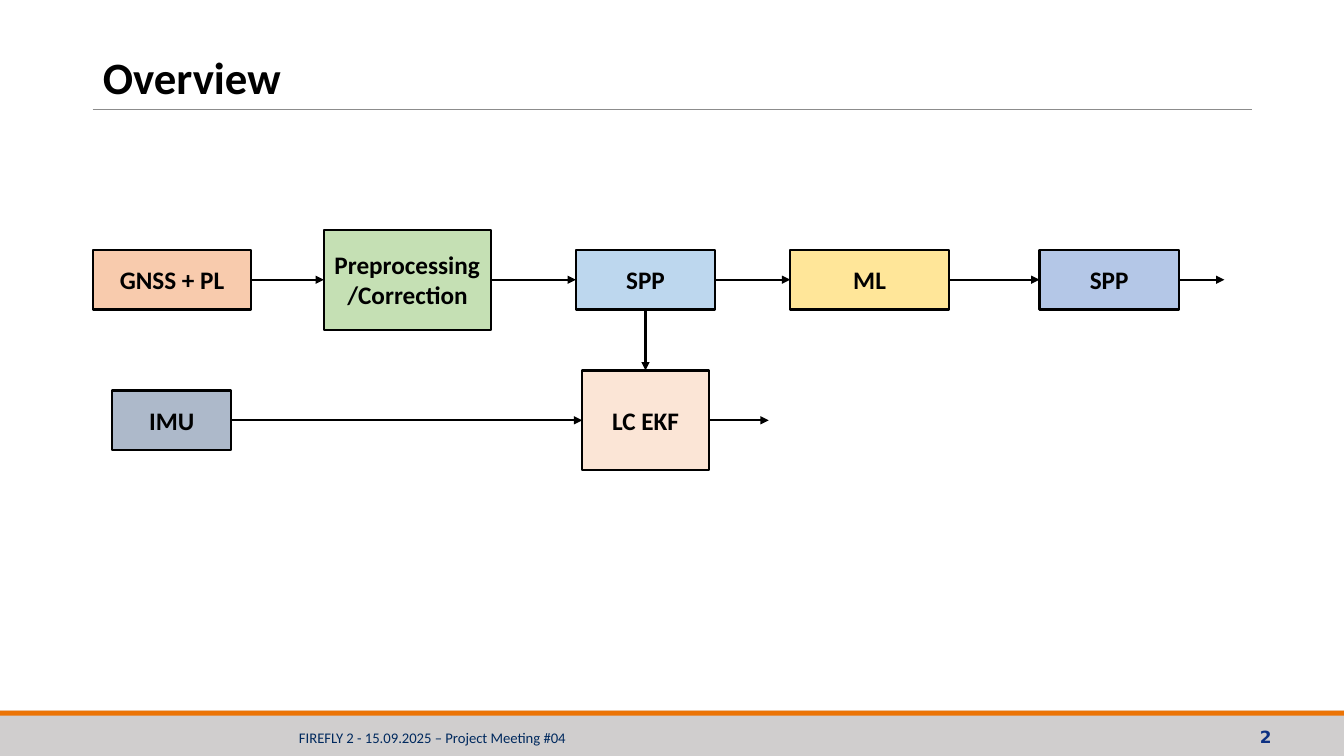
from typing import NamedTuple

from lxml.etree import SubElement
from pptx import Presentation
from pptx.dml.color import RGBColor
from pptx.enum.shapes import MSO_CONNECTOR, MSO_SHAPE
from pptx.enum.text import MSO_ANCHOR, MSO_AUTO_SIZE, PP_ALIGN
from pptx.oxml.ns import qn
from pptx.util import Inches, Pt

WIDTH, HEIGHT = Inches(13.33), Inches(7.5)
BLACK = RGBColor(0x00, 0x00, 0x00)
RULE_GREY = RGBColor(0x8C, 0x8C, 0x8C)
BAND_GREY = RGBColor(0xD0, 0xCE, 0xCE)
ORANGE = RGBColor(0xEC, 0x74, 0x05)
NAVY = RGBColor(0x00, 0x29, 0x5E)
BLUE = RGBColor(0x0D, 0x31, 0x83)
PEACH = RGBColor(0xF8, 0xCB, 0xAD)
GREEN = RGBColor(0xC5, 0xE0, 0xB4)
SKY = RGBColor(0xBD, 0xD7, 0xEE)
YELLOW = RGBColor(0xFF, 0xE6, 0x99)
PERIWINKLE = RGBColor(0xB4, 0xC7, 0xE7)
SLATE = RGBColor(0xAD, 0xB9, 0xCA)
CREAM = RGBColor(0xFB, 0xE5, 0xD6)

GNSS_ROW, IMU_ROW = 37, 55.6
LOW, TALL = 7.9, 13.2
TOP, LEFT, BOTTOM, RIGHT = range(4)


class Stage(NamedTuple):
    """A process box, with its left, width, middle and height in percent of the slide."""
    name: str
    text: str
    left: float
    width: float
    middle: float
    height: float
    color: RGBColor


class Flow(NamedTuple):
    """An arrow between the connection sites of two stages."""
    source: str
    target: str
    leave: int = RIGHT
    enter: int = LEFT


class Output(NamedTuple):
    """An arrow that leaves a stage and ends at a percentage of the slide's width."""
    source: str
    end: float


STAGES = [
    Stage("gnss", "GNSS + PL", 6.9, 11.8, GNSS_ROW, LOW, PEACH),
    Stage("preprocessing", "Preprocessing/Correction", 24.1, 12.45, GNSS_ROW, TALL, GREEN),
    Stage("first spp", "SPP", 42.85, 10.36, GNSS_ROW, LOW, SKY),
    Stage("ml", "ML", 58.8, 11.8, GNSS_ROW, LOW, YELLOW),
    Stage("last spp", "SPP", 77.35, 10.36, GNSS_ROW, LOW, PERIWINKLE),
    Stage("imu", "IMU", 8.35, 8.85, IMU_ROW, LOW, SLATE),
    Stage("filter", "LC EKF", 43.33, 9.4, IMU_ROW, TALL, CREAM),
]
FLOWS = [
    Flow("gnss", "preprocessing"),
    Flow("preprocessing", "first spp"),
    Flow("first spp", "ml"),
    Flow("ml", "last spp"),
    Flow("imu", "filter"),
    Flow("first spp", "filter", BOTTOM, TOP),
]
OUTPUTS = [Output("last spp", 91.1), Output("filter", 57.2)]


def across(percent: float) -> int:
    """Return a share of the slide's width."""
    return round(WIDTH * percent / 100)


def down(percent: float) -> int:
    """Return a share of the slide's height."""
    return round(HEIGHT * percent / 100)


def area(left: float, top: float, width: float, height: float) -> tuple:
    """Return a place on the slide from percentages."""
    return across(left), down(top), across(width), down(height)


def write(shape, text: str, *, size: float, color=BLACK, font="Calibri", bold=True,
          align=PP_ALIGN.CENTER, anchor=MSO_ANCHOR.MIDDLE, spacing=None) -> None:
    """Put one formatted paragraph into a shape."""
    frame = shape.text_frame
    frame.word_wrap = True
    frame.auto_size = MSO_AUTO_SIZE.NONE
    frame.vertical_anchor = anchor
    para = frame.paragraphs[0]
    para.alignment = align
    para.line_spacing = spacing
    span = para.add_run()
    span.text = text
    span.font.size = Pt(size)
    span.font.name = font
    span.font.bold = bold
    span.font.color.rgb = color


def add_box(page, place: tuple, color: RGBColor, outlined: bool = False):
    """Add a flat rectangle."""
    box = page.shapes.add_shape(MSO_SHAPE.RECTANGLE, *place)
    box.shadow.inherit = False
    box.fill.solid()
    box.fill.fore_color.rgb = color
    if outlined:
        box.line.color.rgb = BLACK
        box.line.width = Pt(1.5)
    else:
        box.line.fill.background()
    return box


def add_line(page, start: tuple, end: tuple, color=BLACK, weight=1.5, arrow=True):
    """Add a straight line, with an arrowhead at its end if wanted."""
    line = page.shapes.add_connector(MSO_CONNECTOR.STRAIGHT, *start, *end)
    line.line.color.rgb = color
    line.line.width = Pt(weight)
    if arrow:
        SubElement(line.line._get_or_add_ln(), qn("a:tailEnd"), type="triangle")
    SubElement(line._element.spPr, qn("a:effectLst"))
    return line


def add_frame(page) -> None:
    """Add the title with its rule, and the footer band."""
    add_box(page, area(0, 94, 100, 6), BAND_GREY)
    add_box(page, area(0, 94, 100, 0.67), ORANGE)
    number = page.shapes.add_textbox(*area(87.4, 94.8, 7.95, 5.33))
    write(number, "2", size=12, color=BLUE, font="DejaVu Sans", align=PP_ALIGN.RIGHT)
    footer = page.shapes.add_textbox(*area(10.88, 95.73, 42.6, 3.33))
    write(footer, "FIREFLY 2 - 15.09.2025 – Project Meeting #04", size=10.5,
          color=NAVY, bold=False, anchor=MSO_ANCHOR.TOP)
    rule = down(14.53)
    add_line(page, (across(6.9), rule), (across(93.17), rule), RULE_GREY, 0.5, False)
    title = page.shapes.title
    title.left, title.top, title.width, title.height = area(6.9, 6.53, 86.27, 8)
    write(title, "Overview", size=32, align=PP_ALIGN.LEFT, spacing=0.9)


def add_diagram(page) -> None:
    """Add the stages and the arrows between and after them."""
    boxes = {}
    for stage in STAGES:
        place = area(stage.left, stage.middle - stage.height / 2, stage.width, stage.height)
        boxes[stage.name] = add_box(page, place, stage.color, outlined=True)
        write(boxes[stage.name], stage.text, size=18)
    for flow in FLOWS:
        arrow = add_line(page, (0, 0), (0, 0))
        arrow.begin_connect(boxes[flow.source], flow.leave)
        arrow.end_connect(boxes[flow.target], flow.enter)
    for output in OUTPUTS:
        box = boxes[output.source]
        middle = box.top + box.height // 2
        arrow = add_line(page, (box.left + box.width, middle), (across(output.end), middle))
        arrow.begin_connect(box, RIGHT)


def main() -> None:
    """Build and save the deck."""
    deck = Presentation()
    deck.slide_width, deck.slide_height = WIDTH, HEIGHT
    page = deck.slides.add_slide(deck.slide_layouts[5])
    add_frame(page)
    add_diagram(page)
    deck.save("out.pptx")


if __name__ == "__main__":
    main()
